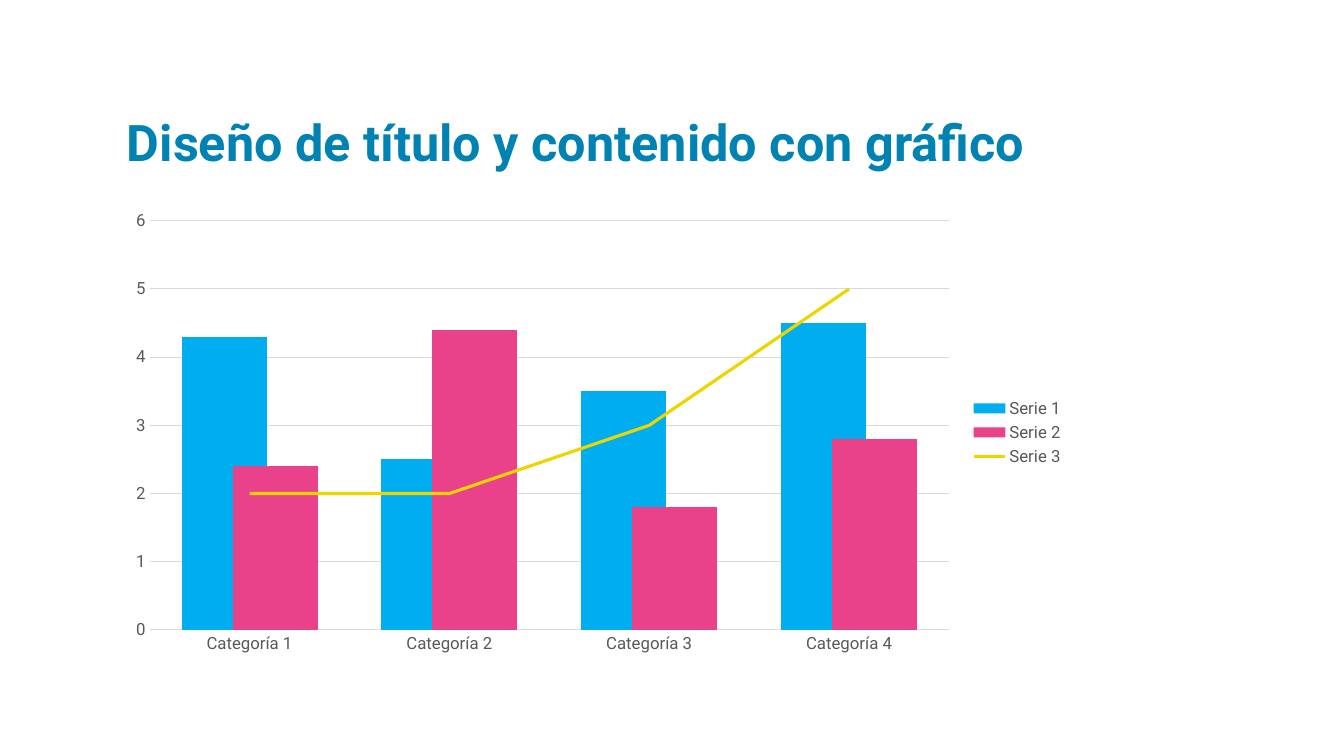
from lxml import etree
from pptx import Presentation
from pptx.chart.data import CategoryChartData
from pptx.dml.color import RGBColor
from pptx.enum.chart import XL_CHART_TYPE, XL_LEGEND_POSITION, XL_MARKER_STYLE, XL_TICK_MARK
from pptx.enum.text import MSO_ANCHOR
from pptx.oxml import parse_xml
from pptx.oxml.ns import nsdecls, qn
from pptx.util import Cm, Pt

COLUMN = XL_CHART_TYPE.COLUMN_CLUSTERED
RIGHT = XL_LEGEND_POSITION.RIGHT
NO_MARK = XL_MARKER_STYLE.NONE
NO_TICK = XL_TICK_MARK.NONE
BOTTOM = MSO_ANCHOR.BOTTOM

FACE = "Roboto"
COLORS = {
    "title": "0082B3",
    "text": "595959",
    "grid": "D9D9D9",
    "Serie 1": "00AEEF",
    "Serie 2": "EA428A",
    "Serie 3": "EED500",
}
CATS = ["Categoría 1", "Categoría 2", "Categoría 3", "Categoría 4"]
BARS = {"Serie 1": (4.3, 2.5, 3.5, 4.5), "Serie 2": (2.4, 4.4, 1.8, 2.8)}
TREND = {"Serie 3": (2, 2, 3, 5)}


def color(name):
    """Return the named colour."""
    return RGBColor.from_string(COLORS[name])


def style_font(font, size, name, bold=False):
    """Set face, size, colour and weight of a font."""
    font.name = FACE
    font.size = Pt(size)
    font.bold = bold
    font.color.rgb = color(name)


def style_line(line, name, width):
    """Set colour and width of a line."""
    line.color.rgb = color(name)
    line.width = Pt(width)


def add_title(slide, text, left, top, width, height):
    """Place the title at the foot of its box."""
    frame = slide.shapes.add_textbox(left, top, width, height).text_frame
    frame.word_wrap = True
    frame.vertical_anchor = BOTTOM
    para = frame.paragraphs[0]
    para.text = text
    para.line_spacing = 0.8
    style_font(para.font, 36, "title", True)


def split_line(plot):
    """Move the last series of a bar plot to a line plot on the same axes."""
    bars = plot._element
    series = bars.findall(qn("c:ser"))[-1]
    for flag in series.findall(qn("c:invertIfNegative")):
        series.remove(flag)
    line = parse_xml(f"<c:lineChart {nsdecls('c')}/>")
    etree.SubElement(line, qn("c:grouping")).set("val", "standard")
    etree.SubElement(line, qn("c:varyColors")).set("val", "0")
    line.append(series)
    etree.SubElement(line, qn("c:marker")).set("val", "1")
    for axis in bars.findall(qn("c:axId")):
        etree.SubElement(line, qn("c:axId")).set("val", axis.get("val"))
    bars.addnext(line)


def add_combo(slide, left, top, width, height):
    """Place the column and line chart with its legend."""
    data = CategoryChartData()
    data.categories = CATS
    for name, values in (BARS | TREND).items():
        data.add_series(name, values)
    chart = slide.shapes.add_chart(COLUMN, left, top, width, height, data).chart
    chart.has_title = False
    style_font(chart.font, 12, "text")

    bars = chart.plots[0]
    bars.vary_by_categories = False
    bars.gap_width = 75
    bars.overlap = 40
    split_line(bars)
    for series in bars.series:
        series.format.fill.solid()
        series.format.fill.fore_color.rgb = color(series.name)
    for series in chart.plots[1].series:
        style_line(series.format.line, series.name, 2.25)
        series.marker.style = NO_MARK
        series.smooth = False

    base, scale = chart.category_axis, chart.value_axis
    for axis in (base, scale):
        axis.major_tick_mark = axis.minor_tick_mark = NO_TICK
        style_font(axis.tick_labels.font, 12, "text")
    style_line(base.format.line, "grid", 0.75)
    style_line(scale.major_gridlines.format.line, "grid", 0.75)
    scale.format.line.fill.background()
    scale.minimum_scale, scale.maximum_scale, scale.major_unit = 0, 6, 1

    chart.has_legend = True
    chart.legend.position = RIGHT
    chart.legend.include_in_layout = False
    style_font(chart.legend.font, 12, "text")


def main():
    """Build the slide and save it."""
    deck = Presentation()
    deck.slide_width, deck.slide_height = Cm(33.87), Cm(19.05)
    slide = deck.slides.add_slide(deck.slide_layouts[6])
    left, width = Cm(2.95), Cm(24.13)
    add_title(slide, "Diseño de título y contenido con gráfico", left, Cm(1.47), width, Cm(2.97))
    add_combo(slide, left, Cm(5.08), width, Cm(11.63))
    deck.save("out.pptx")


if __name__ == "__main__":
    main()
